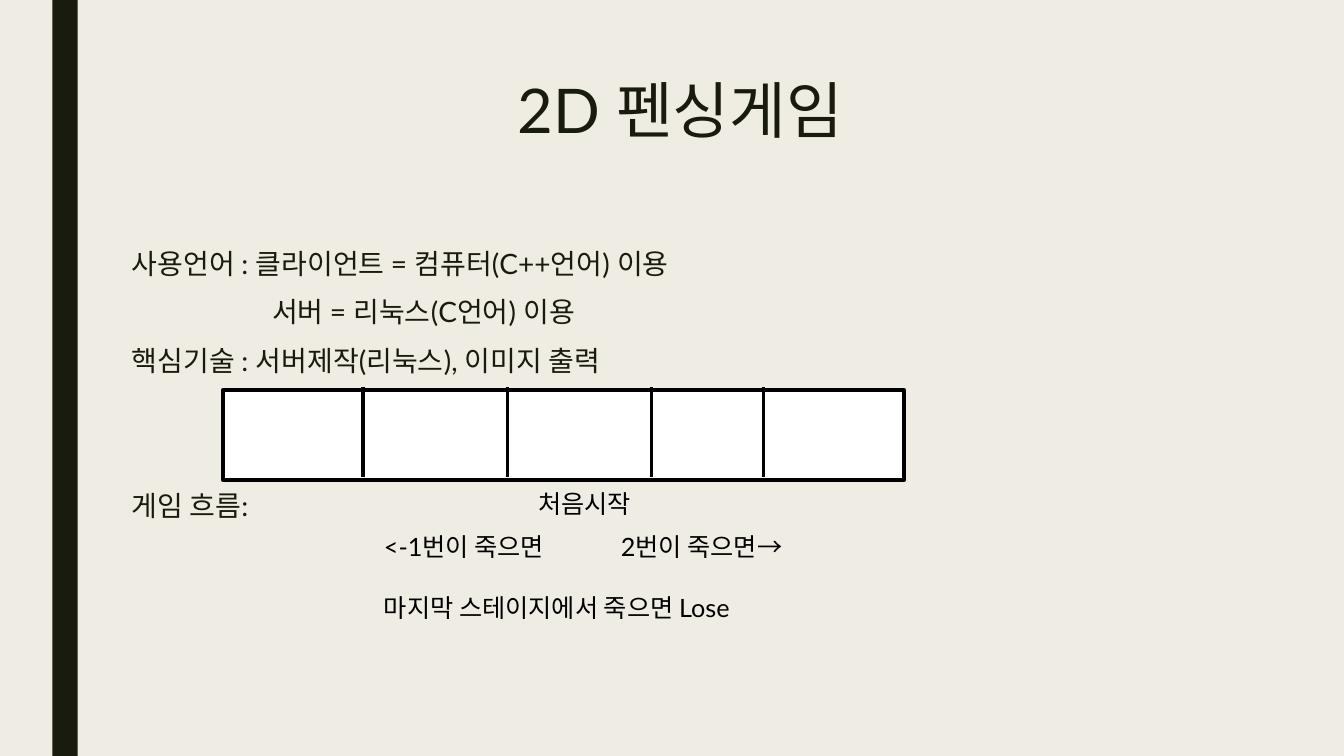
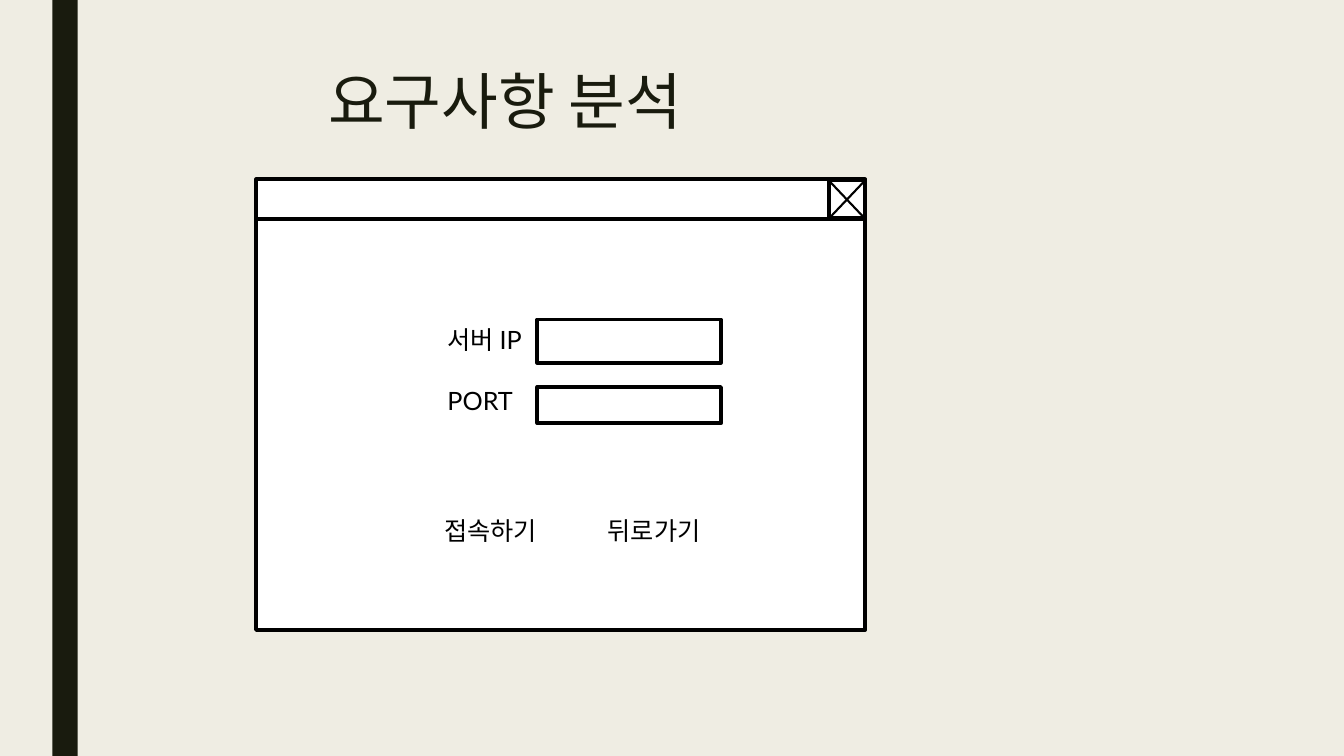
from dataclasses import dataclass

import pptx
import pptx.dml.color
import pptx.enum.shapes
import pptx.enum.text
import pptx.oxml
import pptx.oxml.ns
import pptx.util

PX = 9144  # EMU in one px, 100 px to the inch


@dataclass(frozen=True)
class Theme:
    font: str = "Lato"
    background: str = "EFEDE3"
    dark: str = "191B0E"
    black: str = "000000"
    white: str = "FFFFFF"
    title_size: float = 44
    body_size: float = 20
    label_size: float = 18
    outline: float = 2.75
    divider: float = 2.25
    thin: float = 1.5
    title_spacing: float = 0.89
    body_spacing: float = 0.94


def px(*lengths):
    return [pptx.util.Emu(length * PX) for length in lengths]


def rgb(value):
    return pptx.dml.color.RGBColor.from_string(value)


class Deck:
    """Holds the theme and the slide being drawn."""

    def __init__(self, theme):
        self.theme = theme
        self.presentation = pptx.Presentation()
        size = px(1333, 750)
        self.presentation.slide_width, self.presentation.slide_height = size
        fill = self.presentation.slide_master.background.fill
        fill.solid()
        fill.fore_color.rgb = rgb(theme.background)
        self.slide = None

    def new_slide(self, title, left, top, width, height):
        layout = self.presentation.slide_layouts.get_by_name("Title Only")
        self.slide = self.presentation.slides.add_slide(layout)
        self.box(52, 0, 25, 750, self.theme.dark, outlined=False)
        shape = self.slide.shapes.title
        shape.left, shape.top, shape.width, shape.height = px(left, top, width, height)
        frame = shape.text_frame
        frame.text = title
        frame.word_wrap = True
        frame.auto_size = pptx.enum.text.MSO_AUTO_SIZE.NONE
        frame.vertical_anchor = pptx.enum.text.MSO_ANCHOR.TOP
        paragraph = frame.paragraphs[0]
        paragraph.alignment = pptx.enum.text.PP_ALIGN.CENTER
        paragraph.line_spacing = self.theme.title_spacing
        self.format_runs(paragraph, self.theme.title_size, self.theme.dark)

    def format_runs(self, paragraph, size, color):
        for run in paragraph.runs:
            run.font.name = self.theme.font
            run.font.size = pptx.util.Pt(size)
            run.font.color.rgb = rgb(color)

    def box(self, left, top, width, height, color=None, outlined=True):
        shape = self.slide.shapes.add_shape(
            pptx.enum.shapes.MSO_SHAPE.RECTANGLE, *px(left, top, width, height))
        shape.shadow.inherit = False
        shape.fill.solid()
        shape.fill.fore_color.rgb = rgb(color or self.theme.white)
        if outlined:
            shape.line.color.rgb = rgb(self.theme.black)
            shape.line.width = pptx.util.Pt(self.theme.outline)
        else:
            shape.line.fill.background()

    def line(self, start_x, start_y, end_x, end_y, weight):
        connector = self.slide.shapes.add_connector(
            pptx.enum.shapes.MSO_CONNECTOR.STRAIGHT,
            *px(start_x, start_y, end_x, end_y))
        connector.line.color.rgb = rgb(self.theme.black)
        connector.line.width = pptx.util.Pt(weight)
        properties = connector._element.spPr
        properties.append(pptx.oxml.parse_xml(
            "<a:effectLst %s/>" % pptx.oxml.ns.nsdecls("a")))

    def label(self, text, left, top, width):
        shape = self.slide.shapes.add_textbox(*px(left, top, width, 40))
        shape.text_frame.text = text
        shape.text_frame.word_wrap = True
        self.format_runs(shape.text_frame.paragraphs[0],
                         self.theme.label_size, self.theme.black)

    def body(self, lines, left, top, width, height):
        """Lines are (text, indent in px, space before in points)."""
        shape = self.slide.shapes.add_textbox(*px(left, top, width, height))
        frame = shape.text_frame
        frame.word_wrap = True
        frame.text = "\n".join(text for text, _, _ in lines)
        for paragraph, (_, indent, before) in zip(frame.paragraphs, lines):
            paragraph._p.get_or_add_pPr().set("marL", str(indent * PX))
            paragraph.line_spacing = self.theme.body_spacing
            paragraph.space_before = pptx.util.Pt(before)
            paragraph.space_after = pptx.util.Pt(2)
            self.format_runs(paragraph, self.theme.body_size, self.theme.dark)


def game_slide(deck):
    deck.new_slide("2D 펜싱게임", 150, 75, 1050, 162)
    deck.body([
        ("사용언어 : 클라이언트 = 컴퓨터(C++언어) 이용", 0, 0),
        ("서버 = 리눅스(C언어) 이용", 139, 10),
        ("핵심기술 : 서버제작(리눅스), 이미지 출력", 0, 10),
        ("게임 흐름:", 0, 79),
    ], 121, 242, 1050, 392)
    deck.box(221, 387, 676, 89)
    for stage_edge in (360, 503, 646, 757):
        deck.line(stage_edge, 384, stage_edge, 473, deck.theme.divider)
    deck.label("처음시작", 524, 480, 121)
    deck.label("<-1번이 죽으면", 371, 522, 220)
    deck.label("2번이 죽으면→", 606, 522, 220)
    deck.label("마지막 스테이지에서 죽으면 Lose", 371, 583, 449)


def login_slide(deck):
    deck.new_slide("요구사항 분석", 31, 66, 940, 144)
    left, top, width, bar_height = 254, 178, 604, 39
    right, bar_bottom = left + width, top + bar_height
    deck.box(left, top, width, bar_height)
    close_left, close_top = right - 36, top + 1
    deck.box(close_left, close_top, 36, 37)
    deck.line(close_left, bar_bottom, right, close_top, deck.theme.thin)
    deck.line(close_left, close_top, right, bar_bottom, deck.theme.thin)
    deck.box(left, bar_bottom, width, 408)
    for name, label_top, field_top, field_height in (
            ("서버 IP", 317, 317, 43), ("PORT", 377, 384, 36)):
        deck.label(name, 434, label_top, 120)
        deck.box(533, field_top, 182, field_height)
    deck.label("접속하기", 431, 506, 140)
    deck.label("뒤로가기", 593, 506, 140)


def main():
    deck = Deck(Theme())
    game_slide(deck)
    login_slide(deck)
    deck.presentation.save("out.pptx")


if __name__ == "__main__":
    main()
